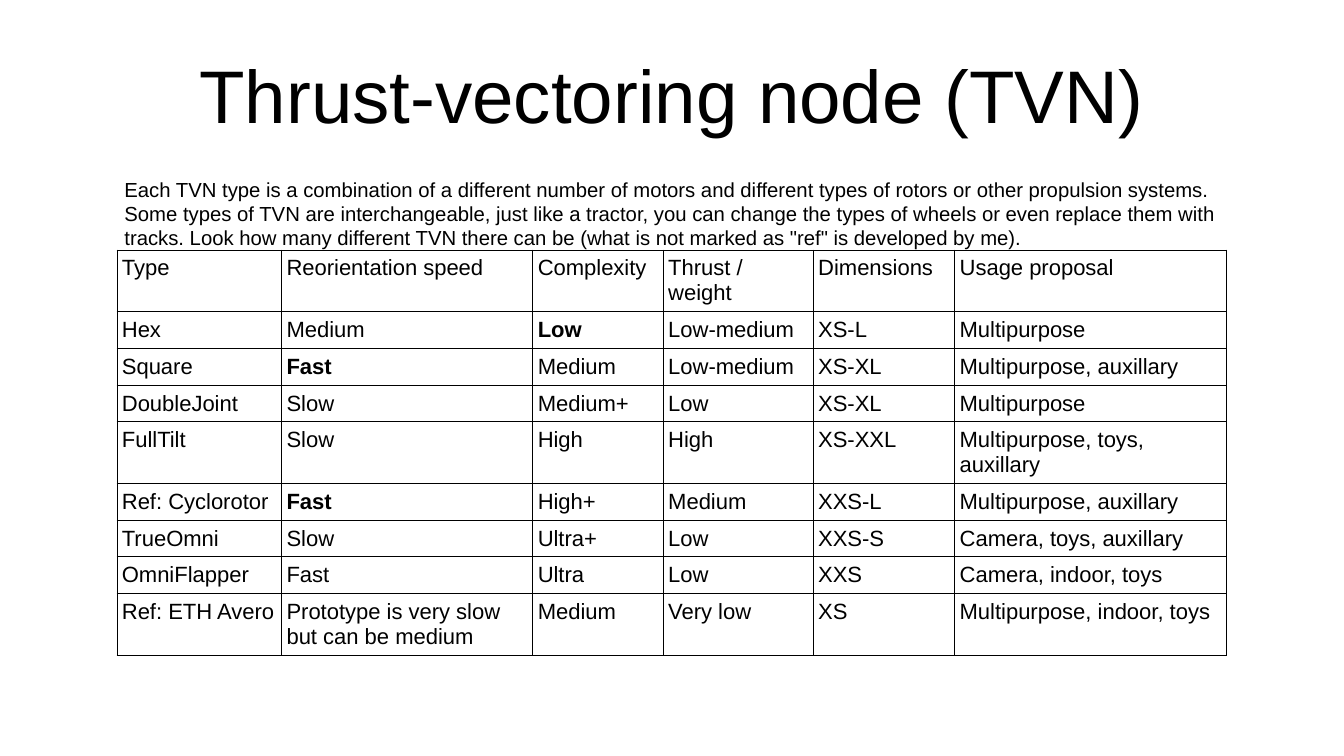
import pptx
import pptx.dml.color
import pptx.enum.text
import pptx.oxml.ns
import pptx.util
from lxml import etree

Inches, Pt = pptx.util.Inches, pptx.util.Pt

# Content
TITLE = "Thrust-vectoring node (TVN)"
INTRO = (
    "Each TVN type is a combination of a different number of motors and different types "
    "of rotors or other propulsion systems. Some types of TVN are interchangeable, just "
    "like a tractor, you can change the types of wheels or even replace them with tracks. "
    'Look how many different TVN there can be (what is not marked as "ref" is developed by me).'
)
NODE_TYPES = [
    ("Type", "Reorientation speed", "Complexity", "Thrust / weight", "Dimensions", "Usage proposal"),
    ("Hex", "Medium", "Low", "Low-medium", "XS-L", "Multipurpose"),
    ("Square", "Fast", "Medium", "Low-medium", "XS-XL", "Multipurpose, auxillary"),
    ("DoubleJoint", "Slow", "Medium+", "Low", "XS-XL", "Multipurpose"),
    ("FullTilt", "Slow", "High", "High", "XS-XXL", "Multipurpose, toys, auxillary"),
    ("Ref: Cyclorotor", "Fast", "High+", "Medium", "XXS-L", "Multipurpose, auxillary"),
    ("TrueOmni", "Slow", "Ultra+", "Low", "XXS-S", "Camera, toys, auxillary"),
    ("OmniFlapper", "Fast", "Ultra", "Low", "XXS", "Camera, indoor, toys"),
    ("Ref: ETH Avero", "Prototype is very slow but can be medium", "Medium", "Very low", "XS",
     "Multipurpose, indoor, toys"),
]
BEST_VALUES = {(1, 2), (2, 1), (5, 1)}  # row, column of the bold cells
TWO_LINE_ROWS = {0, 4, 8}
COLUMN_WIDTHS = (1.35, 2.06, 1.07, 1.23, 1.16, 2.23)
ROW_HEIGHT, TWO_LINE_HEIGHT = 0.3, 0.5

BLACK = pptx.dml.color.RGBColor(0x00, 0x00, 0x00)
WHITE = pptx.dml.color.RGBColor(0xFF, 0xFF, 0xFF)


def set_font(paragraph, size, bold=False):
    font = paragraph.font
    font.name, font.size, font.bold = "Arial", Pt(size), bold
    font.color.rgb = BLACK


def fill_placeholder(placeholder, text, box, size, anchor):
    placeholder.left, placeholder.top, placeholder.width, placeholder.height = map(Inches, box)
    frame = placeholder.text_frame
    frame.margin_left = frame.margin_right = frame.margin_top = frame.margin_bottom = 0
    frame.vertical_anchor = anchor
    frame.auto_size = pptx.enum.text.MSO_AUTO_SIZE.NONE
    frame.text = text
    paragraph = frame.paragraphs[0]
    paragraph.space_before = Pt(0)
    return paragraph


def add_borders(cell):
    properties = cell._tc.get_or_add_tcPr()
    for side in ("a:lnL", "a:lnR", "a:lnT", "a:lnB"):
        line = etree.SubElement(properties, pptx.oxml.ns.qn(side), w=str(Pt(0.57)))
        fill = etree.SubElement(line, pptx.oxml.ns.qn("a:solidFill"))
        etree.SubElement(fill, pptx.oxml.ns.qn("a:srgbClr"), val=str(BLACK))


presentation = pptx.Presentation()
presentation.slide_width, presentation.slide_height = Inches(11.02), Inches(6.2)
slide = presentation.slides.add_slide(presentation.slide_layouts[1])
slide.background.fill.solid()
slide.background.fill.fore_color.rgb = WHITE

# Title
heading = fill_placeholder(slide.shapes.title, TITLE, (0.55, 0.25, 9.92, 1.04), 44,
                           pptx.enum.text.MSO_ANCHOR.MIDDLE)
heading.alignment = pptx.enum.text.PP_ALIGN.CENTER
set_font(heading, 44)

# Introduction, indented and without a bullet
intro = fill_placeholder(slide.placeholders[1], INTRO, (0.55, 1.45, 9.49, 3.6), 12,
                         pptx.enum.text.MSO_ANCHOR.TOP)
intro_properties = intro._p.get_or_add_pPr()
intro_properties.set("marL", str(Inches(0.47)))
intro_properties.set("indent", "0")
etree.SubElement(intro_properties, pptx.oxml.ns.qn("a:buNone"))
set_font(intro, 12)

# Comparison of node types
row_heights = [TWO_LINE_HEIGHT if row in TWO_LINE_ROWS else ROW_HEIGHT
               for row in range(len(NODE_TYPES))]
comparison = slide.shapes.add_table(
    len(NODE_TYPES), len(COLUMN_WIDTHS), Inches(0.96), Inches(2.05),
    Inches(sum(COLUMN_WIDTHS)), Inches(sum(row_heights))).table
comparison.first_row = comparison.horz_banding = False
for column, width in zip(comparison.columns, COLUMN_WIDTHS):
    column.width = Inches(width)
for row, height in zip(comparison.rows, row_heights):
    row.height = Inches(height)

for row_index, values in enumerate(NODE_TYPES):
    for column_index, value in enumerate(values):
        cell = comparison.cell(row_index, column_index)
        cell.margin_left = cell.margin_right = Inches(0.04)
        cell.margin_top = cell.margin_bottom = Inches(0.05)
        add_borders(cell)
        cell.fill.background()
        cell.text = value
        set_font(cell.text_frame.paragraphs[0], 13, (row_index, column_index) in BEST_VALUES)

presentation.save("out.pptx")
